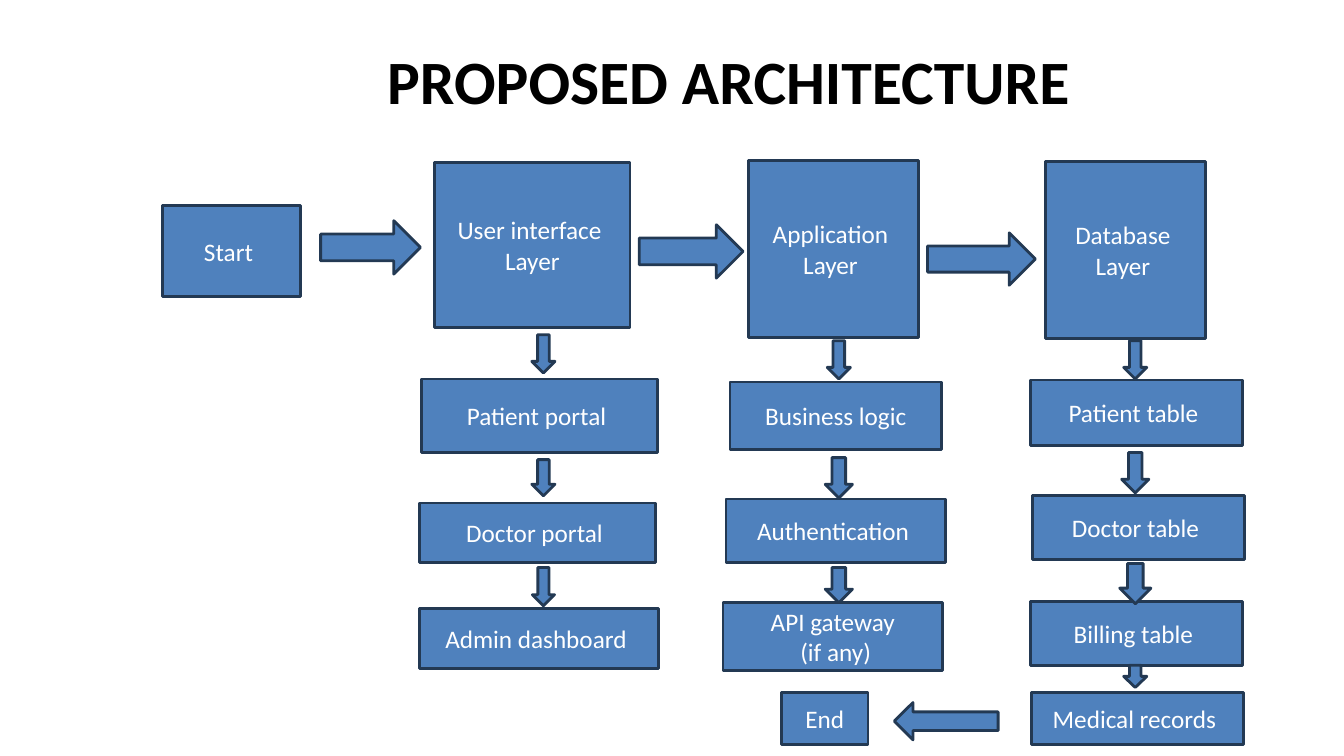
from pptx import Presentation
from pptx.dml.color import RGBColor
from pptx.enum.shapes import MSO_SHAPE
from pptx.enum.text import MSO_ANCHOR, MSO_AUTO_SIZE, PP_ALIGN
from pptx.util import Inches, Pt

RECTANGLE = MSO_SHAPE.RECTANGLE
RIGHT, DOWN, LEFT = MSO_SHAPE.RIGHT_ARROW, MSO_SHAPE.DOWN_ARROW, MSO_SHAPE.LEFT_ARROW

THEME = {
    "font": "Calibri",
    "title_size": 44,
    "label_size": 18,
    "title_color": RGBColor(0x00, 0x00, 0x00),
    "label_color": RGBColor(0xFF, 0xFF, 0xFF),
    "fill": RGBColor(0x4F, 0x81, 0xBD),
    "line": RGBColor(0x23, 0x39, 0x53),
    "line_width": 2,
}


def write_text(frame, text, size, color, bold=False,
               align=PP_ALIGN.CENTER, anchor=MSO_ANCHOR.MIDDLE, space_before=0):
    frame.word_wrap = True
    frame.vertical_anchor = anchor
    for index, line in enumerate(text.split("\n")):
        paragraph = frame.paragraphs[0] if index == 0 else frame.add_paragraph()
        paragraph.alignment = align
        paragraph.space_before = Pt(space_before)
        run = paragraph.add_run()
        run.text = line
        run.font.name = THEME["font"]
        run.font.size = Pt(size)
        run.font.bold = bold
        run.font.color.rgb = color


def add_block(slide, kind, left, top, width, height, text=None):
    shape = slide.shapes.add_shape(
        kind, Inches(left), Inches(top), Inches(width), Inches(height))
    shape.shadow.inherit = False
    shape.fill.solid()
    shape.fill.fore_color.rgb = THEME["fill"]
    shape.line.color.rgb = THEME["line"]
    shape.line.width = Pt(THEME["line_width"])
    if text:
        write_text(shape.text_frame, text, THEME["label_size"], THEME["label_color"])


presentation = Presentation()
presentation.slide_width = Inches(13.33)
presentation.slide_height = Inches(7.5)
slide = presentation.slides.add_slide(presentation.slide_layouts[5])

# Title
title = slide.shapes.title
title.left, title.top = Inches(0), Inches(0.42)
title.width, title.height = Inches(13.42), Inches(0.75)
title_frame = title.text_frame
title_frame.auto_size = MSO_AUTO_SIZE.NONE
title_frame.margin_left = Inches(3.84)
title_frame.margin_top = Inches(0.01)
title_frame.margin_right = title_frame.margin_bottom = 0
write_text(title_frame, "PROPOSED ARCHITECTURE", THEME["title_size"],
           THEME["title_color"], bold=True, align=PP_ALIGN.LEFT,
           anchor=MSO_ANCHOR.TOP, space_before=1)

# Layer columns: axis of the down arrows,
# boxes as (text, left, top, width, height), arrows as (top, width, height)
layers = [
    (5.39,
     [("User interface \nLayer", 4.31, 1.61, 1.94, 1.64),
      ("Patient portal ", 4.18, 3.76, 2.34, 0.73),
      ("Doctor portal ", 4.16, 4.99, 2.34, 0.59),
      ("Admin dashboard ", 4.16, 6.04, 2.37, 0.59)],
     [(3.32, 0.23, 0.38), (4.56, 0.23, 0.36), (5.63, 0.22, 0.38)]),
    (8.32,
     [("Application \nLayer ", 7.42, 1.59, 1.69, 1.76),
      ("Business logic", 7.24, 3.79, 2.1, 0.67),
      ("Authentication ", 7.2, 4.95, 2.18, 0.63),
      ("API gateway\n (if any)", 7.17, 5.98, 2.18, 0.67)],
     [(3.38, 0.23, 0.38), (4.54, 0.27, 0.4), (5.63, 0.27, 0.35)]),
    (11.26,
     [("Database \nLayer ", 10.37, 1.6, 1.59, 1.76),
      ("Patient table ", 10.22, 3.77, 2.1, 0.65),
      ("Doctor table ", 10.24, 4.92, 2.1, 0.63),
      ("Billing table ", 10.22, 5.97, 2.1, 0.63),
      ("Medical records ", 10.23, 6.87, 2.1, 0.52)],
     [(3.38, 0.23, 0.38), (4.49, 0.27, 0.4), (5.59, 0.31, 0.4), (6.6, 0.23, 0.22)]),
]
for axis, boxes, arrows in layers:
    for text, left, top, width, height in boxes:
        add_block(slide, RECTANGLE, left, top, width, height, text)
    for top, width, height in arrows:
        add_block(slide, DOWN, axis - width / 2, top, width, height)

# Start and end of the flow
add_block(slide, RECTANGLE, 1.61, 2.04, 1.37, 0.9, "Start ")
add_block(slide, RECTANGLE, 7.75, 6.87, 0.86, 0.52, "End")

# Arrows between the columns
for kind, left, top, width, height in [
    (RIGHT, 3.18, 2.19, 0.99, 0.53),
    (RIGHT, 6.34, 2.23, 1.03, 0.53),
    (RIGHT, 9.2, 2.31, 1.07, 0.52),
    (LEFT, 8.87, 6.97, 1.03, 0.37),
]:
    add_block(slide, kind, left, top, width, height)

presentation.save("out.pptx")
